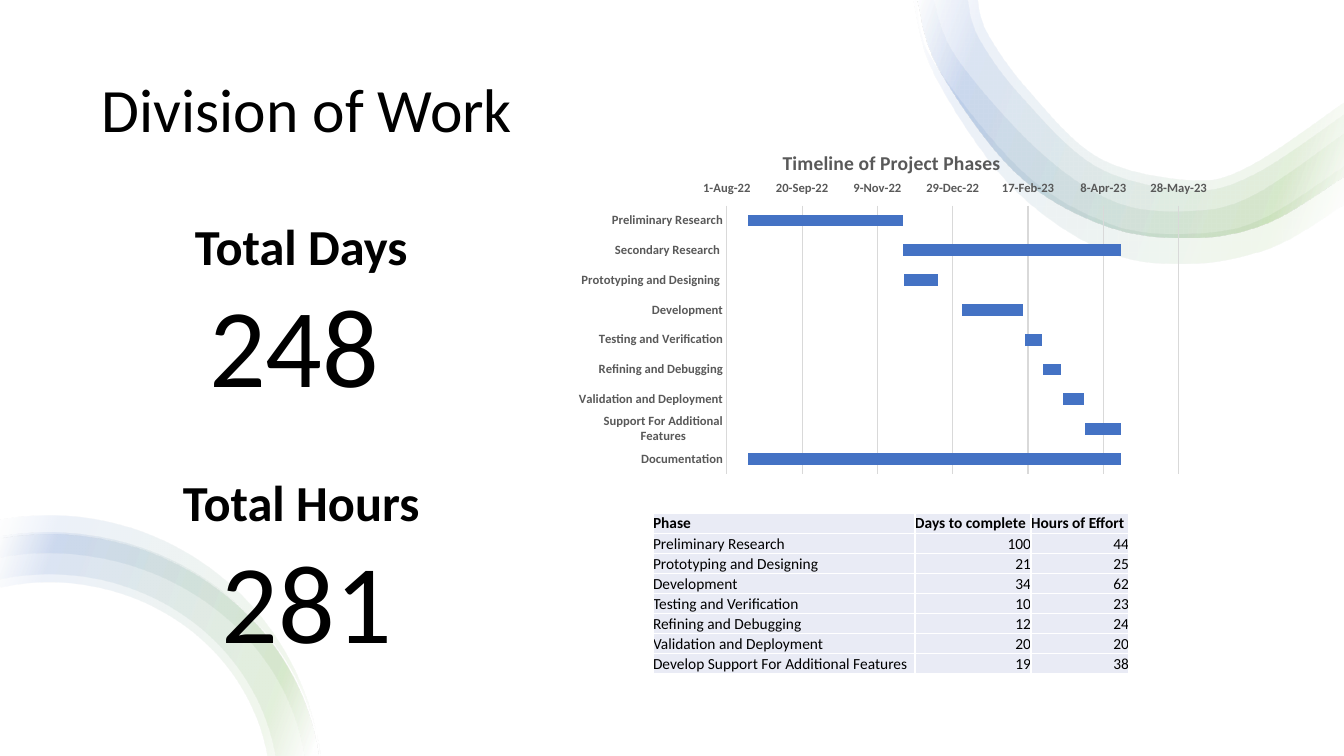
import math

from lxml import etree
from pptx import Presentation
from pptx import util as u
from pptx.chart.data import CategoryChartData
from pptx.dml.color import RGBColor
from pptx.enum import chart as ch
from pptx.enum import text
from pptx.oxml import parse_xml
from pptx.oxml.ns import nsdecls, qn

PX = 12192000 / 1344
FONT = "Calibri"
COLORS = {"ink": "000000", "grey": "595959", "grid": "D9D9D9", "blue": "4472C4",
          "green": "70AD47", "white": "FFFFFF", "cell": "E9EBF5"}


def px(*lengths):
    return [round(length * PX) for length in lengths]


def style(font, size, color, bold=False):
    font.name, font.size, font.bold = FONT, u.Pt(size), bold
    font.color.rgb = RGBColor.from_string(COLORS[color])


prs = Presentation()
prs.slide_width, prs.slide_height = px(1344, 756)
slide = prs.slides.add_slide(prs.slide_layouts[6])

# Top ribbons: edges run left to right through knots on a smooth curve
STEPS = 8
edge_knots = [
    [(914, 0), (935, 75), (1009, 183), (1100, 248), (1185, 263), (1271, 247), (1344, 204)],
    [(917, 0), (933, 60), (1023, 171), (1110, 223), (1185, 233), (1258, 220), (1344, 166)],
    [(918, 0), (939, 69), (1015, 172), (1103, 225), (1190, 238), (1267, 223), (1344, 176)],
    [(934, 0), (957, 58), (1037, 149), (1113, 201), (1186, 211), (1251, 196), (1344, 133)],
    [(968, 0), (979, 38), (1021, 96), (1097, 167), (1190, 190), (1254, 174), (1344, 114)],
    [(978, 0), (988, 34), (1029, 91), (1099, 158), (1190, 180), (1249, 166), (1344, 102)],
]
edges = []
for knots in edge_knots:
    padded = [knots[0], *knots, knots[-1]]
    edge = [tuple((2 * q + (r - p) * t + (2 * p - 5 * q + 4 * r - s) * t ** 2
                   + (3 * q - p - 3 * r + s) * t ** 3) / 2 for p, q, r, s in zip(*window))
            for window in zip(padded, padded[1:], padded[2:], padded[3:])
            for t in (step / STEPS for step in range(STEPS))]
    edges.append(edge + [knots[-1]])
outlines = [edges[outer] + edges[inner][::-1] for outer, inner in ((0, 1), (2, 3), (2, 4), (2, 5))]

# Bottom ribbons: bands between ellipses around one centre, cut at the slide's edges
CENTER_X, CENTER_Y = 49, 790
for radii in (((272, 255), (221, 207)), ((272, 255), (229, 215)),
              ((272, 257), (258, 236)), ((273, 274), (274, 255))):
    band = []
    for rx, ry in radii:
        first = math.asin((CENTER_Y - 756) / ry)
        last = math.acos(-CENTER_X / rx)
        angles = [first + (last - first) * step / 40 for step in range(41)]
        band.append([(CENTER_X + rx * math.cos(a), CENTER_Y - ry * math.sin(a)) for a in angles])
    outlines.append(band[0] + band[1][::-1])

ribbon_stops = [(2, "white"), (16, "green"), (85, "blue"), (100, "white")]
for outline in outlines:
    points = [tuple(px(*point)) for point in outline]
    builder = slide.shapes.build_freeform(*points[0], scale=1.0)
    builder.add_line_segments(points[1:], close=True)
    ribbon = builder.convert_to_shape()
    ribbon.shadow.inherit = False
    ribbon.line.fill.background()
    ribbon.fill.gradient()
    ribbon.fill.gradient_angle = 160
    stop_list = next(ribbon._element.iter(qn("a:gsLst")))
    for stop in list(stop_list):
        stop_list.remove(stop)
    for position, color in ribbon_stops:
        stop_list.append(parse_xml(
            f'<a:gs {nsdecls("a")} pos="{position * 1000}"><a:srgbClr val="{COLORS[color]}">'
            '<a:alpha val="10000"/></a:srgbClr></a:gs>'))

# Title
heading = slide.shapes.add_textbox(*px(92, 40, 1159, 146)).text_frame
heading.word_wrap = True
heading.vertical_anchor = text.MSO_ANCHOR.MIDDLE
heading.text = "Division of Work"
heading.paragraphs[0].line_spacing = 0.9
style(heading.paragraphs[0].font, 44, "ink")

# Totals
totals = slide.shapes.add_textbox(*px(125, 210, 364, 465)).text_frame
totals.word_wrap = True
totals.text = "Total Days \n248 \nTotal Hours \n281"
for index, line in enumerate(totals.paragraphs):
    line.alignment = text.PP_ALIGN.CENTER
    is_label = index % 2 == 0
    style(line.font, 36 if is_label else 80, "ink", is_label)
totals.paragraphs[2].space_before = u.Pt(44)

# Timeline: hidden start bars carry the visible duration bars
phases = [("Preliminary Research", 44788, 103), ("Secondary Research ", 44891, 145),
          ("Prototyping and Designing ", 44892, 22), ("Development", 44930, 41),
          ("Testing and Verification", 44972, 11), ("Refining and Debugging", 44984, 12),
          ("Validation and Deployment", 44997, 14),
          ("Support For Additional Features", 45012, 24), ("Documentation", 44788, 248)]
names, starts, durations = zip(*phases)
schedule = CategoryChartData()
schedule.categories = names
schedule.add_series("Series 1", starts)
schedule.add_series("Series 2", durations)
timeline = slide.shapes.add_chart(ch.XL_CHART_TYPE.BAR_STACKED, *px(563, 128, 655, 353),
                                  schedule).chart
style(timeline.font, 10, "ink")
timeline.has_legend = False
timeline.has_title = True
timeline.chart_title.text_frame.text = "Timeline of Project Phases"
style(timeline.chart_title.text_frame.paragraphs[0].font, 14, "grey", True)

bars = timeline.plots[0]
bars.gap_width, bars.overlap, bars.vary_by_categories = 150, 100, False
start_bars, duration_bars = bars.series
start_bars.format.fill.background()
duration_bars.format.fill.solid()
duration_bars.format.fill.fore_color.rgb = RGBColor.from_string(COLORS["blue"])

phase_axis, date_axis = timeline.category_axis, timeline.value_axis
for axis in (phase_axis, date_axis):
    axis.major_tick_mark = axis.minor_tick_mark = ch.XL_TICK_MARK.NONE
    style(axis.tick_labels.font, 9, "grey", True)
phase_axis.reverse_order = True
date_axis.minimum_scale, date_axis.maximum_scale, date_axis.major_unit = 44774, 45074, 50
date_axis.tick_label_position = ch.XL_TICK_LABEL_POSITION.LOW
date_axis.tick_labels.number_format = "d\\-mmm\\-yy"
date_axis.tick_labels.number_format_is_linked = False
date_axis.format.line.fill.background()
for line in (phase_axis.format.line, date_axis.major_gridlines.format.line):
    line.color.rgb = RGBColor.from_string(COLORS["grid"])
    line.width = u.Pt(0.75)

# Places of the chart title and the plot, as shares of the chart
chart_xml = timeline._chartSpace.chart
for part, index, target, place in (
        ("c:title", 1, "", {"x": 0.33, "y": 0.05}),
        ("c:plotArea", 0, '<c:layoutTarget val="inner"/>',
         {"x": 0.25, "y": 0.22, "w": 0.69, "h": 0.76})):
    element = chart_xml.find(qn(part))
    for layout in element.findall(qn("c:layout")):
        element.remove(layout)
    modes = "".join(f'<c:{key}Mode val="edge"/>' for key in "xy")
    values = "".join(f'<c:{key} val="{value}"/>' for key, value in place.items())
    element.insert(index, parse_xml(
        f'<c:layout {nsdecls("c")}><c:manualLayout>{target}{modes}{values}'
        '</c:manualLayout></c:layout>'))

# Effort table
effort = [("Phase", "Days to complete", "Hours of Effort"),
          ("Preliminary Research", "100", "44"), ("Prototyping and Designing", "21", "25"),
          ("Development", "34", "62"), ("Testing and Verification", "10", "23"),
          ("Refining and Debugging", "12", "24"), ("Validation and Deployment", "20", "20"),
          ("Develop Support For Additional Features", "19", "38")]
table = slide.shapes.add_table(len(effort), 3, *px(653, 513, 476, 161)).table
table.first_row = table.horz_banding = False
for column, width in zip(table.columns, px(262, 116, 98)):
    column.width = width
for r, row in enumerate(effort):
    for c, value in enumerate(row):
        cell = table.cell(r, c)
        cell.margin_left = cell.margin_right = cell.margin_top = cell.margin_bottom = 0
        cell.vertical_anchor = text.MSO_ANCHOR.BOTTOM
        cell.fill.solid()
        cell.fill.fore_color.rgb = RGBColor.from_string(COLORS["cell"])
        cell.text = value
        entry = cell.text_frame.paragraphs[0]
        style(entry.font, 11, "ink", r == 0)
        if r and c:
            entry.alignment = text.PP_ALIGN.RIGHT
        for i, side in enumerate(("lnL", "lnR", "lnT", "lnB")):
            border = etree.Element(qn(f"a:{side}"), w="12700")
            paint = etree.SubElement(border, qn("a:solidFill"))
            etree.SubElement(paint, qn("a:srgbClr"), val=COLORS["white"])
            cell._tc.get_or_add_tcPr().insert(i, border)

prs.save("out.pptx")
